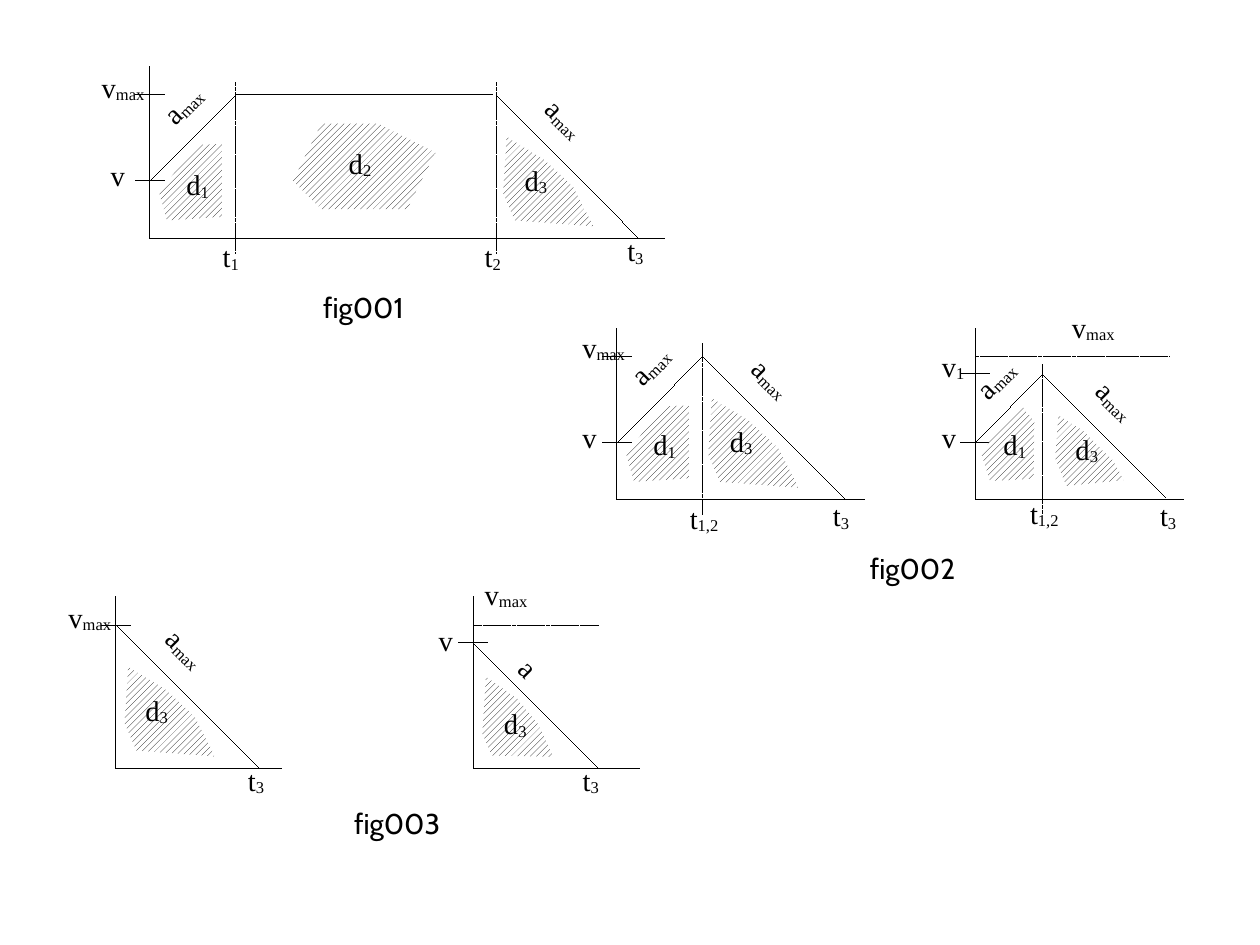
from dataclasses import dataclass
from itertools import pairwise

from lxml.etree import SubElement
from pptx import Presentation
from pptx.dml.color import RGBColor
from pptx.enum.dml import MSO_LINE_DASH_STYLE as Dash, MSO_PATTERN_TYPE as Pattern
from pptx.enum.shapes import MSO_CONNECTOR as Connector
from pptx.enum.text import MSO_AUTO_SIZE as AutoSize
from pptx.oxml.ns import qn
from pptx.util import Cm, Pt


@dataclass(frozen=True)
class Theme:
    ink: RGBColor = RGBColor(0, 0, 0)
    paper: RGBColor = RGBColor(255, 255, 255)
    symbol_font: str = "Times New Roman"
    caption_font: str = "Cabin"
    size: int = 18
    hairline: float = 0.01
    subscript: str = "-8000"


@dataclass(frozen=True)
class Graph:
    origin: tuple
    width: float
    curves: tuple
    ticks: tuple
    areas: tuple
    labels: tuple
    times: tuple = ()
    time_top: float = 3.46
    limit: float = 0


THEME = Theme()
AXIS_HEIGHT = 3.81
V_MAX, V_PEAK, V_START = 3.18, 2.79, 1.27
TICK = 0.32
TIME_BOTTOM = -0.34
RISING, FALLING = 315, 45

LABEL_SIZES = {
    "v_max": (1.55, 1.22), "a_max": (1.42, 1.22), "v_1": (1.02, 1.22),
    "t_1": (0.86, 1.22), "t_2": (0.86, 1.22), "t_3": (0.86, 1.22),
    "t_1,2": (1.14, 1.22), "d_1": (1.02, 1.22), "d_2": (1.02, 1.22),
    "d_3": (1.02, 1.22), "v": (0.81, 1.02), "a": (0.79, 1.02),
}
CAPTION_SIZE = (2.51, 0.99)

D1 = ((0.66, 1.58), (0.2, 1.03), (0.38, 0.39), (1.6, 0.47), (1.6, 2.09), (1.09, 2.07))
D1_LOW = ((0.58, 1.6), (0.13, 1.04), (0.33, 0.41), (1.3, 0.46), (1.32, 1.73), (1.04, 2.08))
D2 = ((3.81, 2.54), (3.18, 1.27), (3.81, 0.64), (5.72, 0.64), (6.35, 1.9), (5.08, 2.54))
D3 = ((0.23, 2.25), (0.15, 1), (0.41, 0.39), (2.16, 0.26), (1.7, 1.15), (1.04, 1.76))
D3_LOW = ((1.85, 1.88), (1.78, 0.91), (2.03, 0.3), (3.3, 0.43), (3.07, 0.86), (2.41, 1.52))
D3_STEEP = ((0.28, 2.03), (0.2, 0.76), (0.41, 0.28), (1.78, 0.25), (1.47, 0.94), (0.97, 1.55))

GRAPHS = (
    Graph(
        (3.33, 5.29), 11.43,
        (((0, V_START), (1.9, V_MAX), (7.62, V_MAX)), ((7.7, V_MAX), (10.87, 0))),
        (V_MAX, V_START),
        ((D2, 0), (D1, 0), (D3, 7.7)),
        (("v_max", -1.32, 3.86, 0), ("v", -1.12, 1.9, 0), ("t_1", 1.37, 0.1, 0),
         ("t_2", 7.19, 0.1, 0), ("t_3", 10.36, 0.23, 0), ("d_1", 0.56, 1.7, 0),
         ("d_2", 4.17, 2.18, 0), ("d_3", 8.08, 1.8, 0),
         ("a_max", 0.08, 3.51, RISING), ("a_max", 8.46, 3.2, FALLING)),
        times=(1.9, 7.7),
    ),
    Graph(
        (13.71, 11.1), 5.49,
        (((0, V_START), (1.9, V_MAX), (5.08, 0)),),
        (V_MAX, V_START),
        ((D1, 0), (D3, 1.88)),
        (("v_max", -1.02, 3.89, 0), ("v", -1.02, 1.9, 0), ("t_1,2", 1.37, 0.1, 0),
         ("t_3", 4.55, 0.15, 0), ("d_1", 0.56, 1.73, 0), ("d_3", 2.26, 1.8, 0),
         ("a_max", 0.08, 3.53, RISING), ("a_max", 2.67, 3.23, FALLING)),
        times=(1.9,),
    ),
    Graph(
        (21.67, 11.1), 4.62,
        (((0, V_START), (1.5, V_PEAK), (4.24, 0.05)),),
        (V_PEAK, V_START),
        ((D1_LOW, 0), (D3_LOW, 0)),
        (("v_1", -0.99, 3.48, 0), ("v", -0.99, 1.9, 0), ("v_max", 1.9, 4.34, 0),
         ("t_1,2", 0.97, 0.2, 0), ("t_3", 3.86, 0.15, 0), ("d_1", 0.38, 1.73, 0),
         ("d_3", 1.98, 1.63, 0), ("a_max", -0.2, 3.23, RISING),
         ("a_max", 2.36, 2.74, FALLING)),
        times=(1.5,), time_top=3, limit=4.32,
    ),
    Graph(
        (2.57, 17.07), 3.68,
        (((0.03, V_MAX), (3.2, 0)),),
        (V_MAX,),
        ((D3, 0.05),),
        (("v_max", -1.3, 3.86, 0), ("t_3", 2.69, 0.25, 0), ("d_3", 0.41, 1.8, 0),
         ("a_max", 0.79, 3.2, FALLING)),
    ),
    Graph(
        (10.52, 17.07), 3.68,
        (((0, V_PEAK), (2.79, 0)),),
        (V_PEAK,),
        ((D3_STEEP, 0),),
        (("v", -1.02, 3.35, 0), ("v_max", 0, 4.37, 0), ("t_3", 2.18, 0.25, 0),
         ("d_3", 0.43, 1.5, 0), ("a", 0.84, 2.72, FALLING)),
        limit=2.79,
    ),
)
CAPTIONS = (("fig001", 6.93, 6.32), ("fig002", 19.08, 12.12), ("fig003", 7.62, 17.78))


def place(origin, point):
    return Cm(origin[0] + point[0]), Cm(origin[1] - point[1])


def add_line(slide, origin, start, end, dashed=False):
    line = slide.shapes.add_connector(
        Connector.STRAIGHT, *place(origin, start), *place(origin, end))
    line.line.color.rgb = THEME.ink
    line.line.width = Pt(THEME.hairline)
    if dashed:
        line.line.dash_style = Dash.SQUARE_DOT
    SubElement(line._element.spPr, qn("a:effectLst"))


def add_area(slide, origin, outline, shift):
    corners = [place(origin, (x + shift, height)) for x, height in outline]
    builder = slide.shapes.build_freeform(*corners[0])
    builder.add_line_segments(corners[1:], close=True)
    area = builder.convert_to_shape()
    area.shadow.inherit = False
    area.fill.patterned()
    area.fill.pattern = Pattern.WIDE_UPWARD_DIAGONAL
    area.fill.fore_color.rgb = THEME.ink
    area.fill.back_color.rgb = THEME.paper
    area.line.fill.background()


def add_span(para, text, font=THEME.symbol_font, size=THEME.size, color=THEME.ink, baseline=None):
    span = para.add_run()
    span.text = text
    span.font.name = font
    span.font.size = Pt(size)
    span.font.color.rgb = color
    if baseline:
        span._r.get_or_add_rPr().set("baseline", baseline)


def add_label(slide, text, corner, size, rotation=0, font=THEME.symbol_font):
    box = slide.shapes.add_textbox(*corner, *map(Cm, size))
    box.rotation = rotation
    box.text_frame.word_wrap = False
    box.text_frame.auto_size = AutoSize.SHAPE_TO_FIT_TEXT
    para = box.text_frame.paragraphs[0]
    symbol, _, index = text.partition("_")
    add_span(para, symbol, font=font)
    if index:
        add_span(para, index, font=font, baseline=THEME.subscript)


def add_graph(slide, graph):
    origin = graph.origin
    add_line(slide, origin, (0, AXIS_HEIGHT), (0, 0))
    add_line(slide, origin, (graph.width, 0), (0, 0))
    for curve in graph.curves:
        for start, end in pairwise(curve):
            add_line(slide, origin, start, end)
    for height in graph.ticks:
        add_line(slide, origin, (-TICK, height), (TICK, height))
    for x in graph.times:
        add_line(slide, origin, (x, graph.time_top), (x, TIME_BOTTOM), dashed=True)
    if graph.limit:
        add_line(slide, origin, (0, V_MAX), (graph.limit, V_MAX), dashed=True)
    for outline, shift in graph.areas:
        add_area(slide, origin, outline, shift)
    for text, x, height, rotation in graph.labels:
        add_label(slide, text, place(origin, (x, height)), LABEL_SIZES[text], rotation)


def main():
    deck = Presentation()
    deck.slide_width, deck.slide_height = Cm(28), Cm(21)
    slide = deck.slides.add_slide(deck.slide_layouts[6])
    for graph in GRAPHS:
        add_graph(slide, graph)
    for text, left, top in CAPTIONS:
        add_label(slide, text, (Cm(left), Cm(top)), CAPTION_SIZE, font=THEME.caption_font)
    deck.save("out.pptx")


if __name__ == "__main__":
    main()
